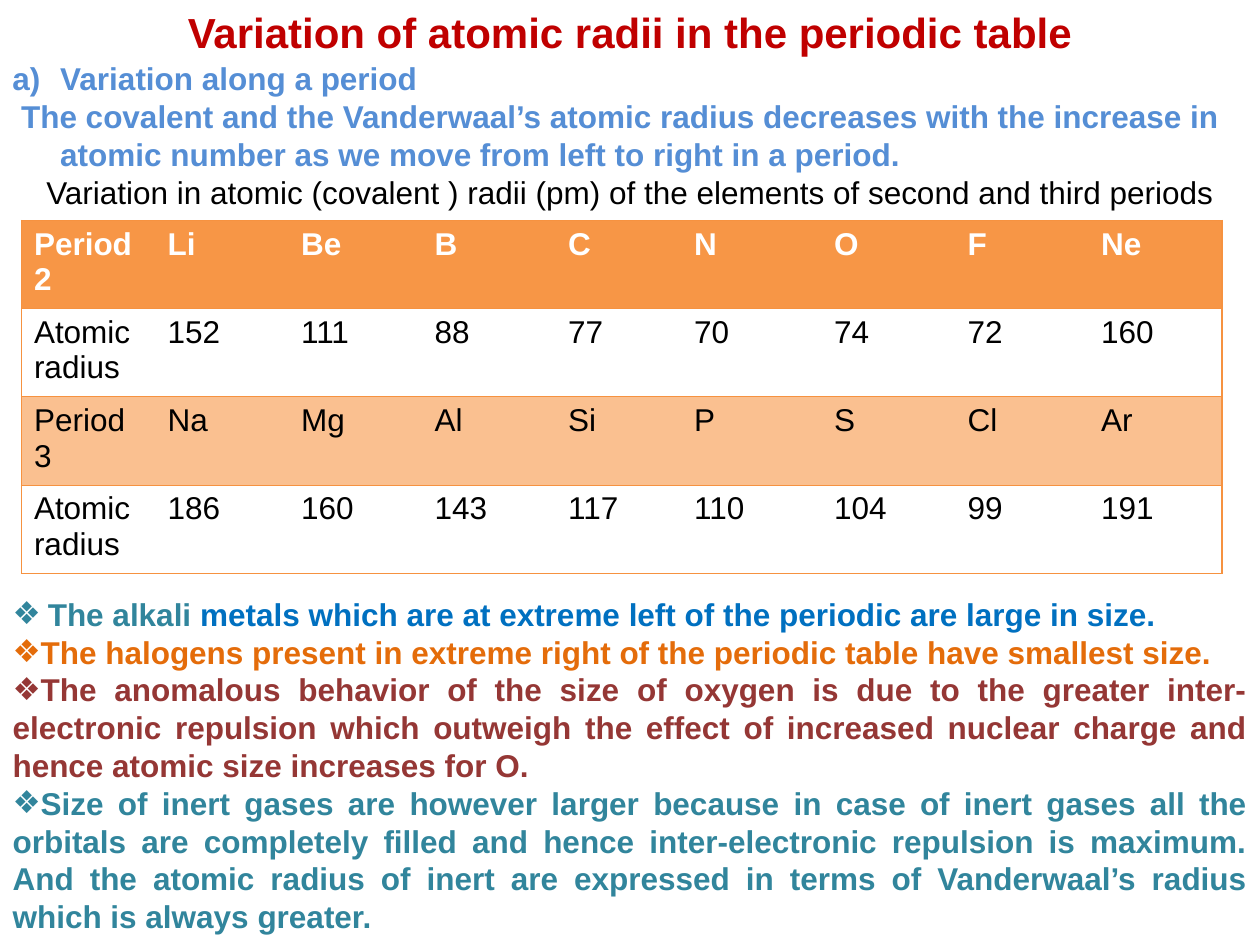
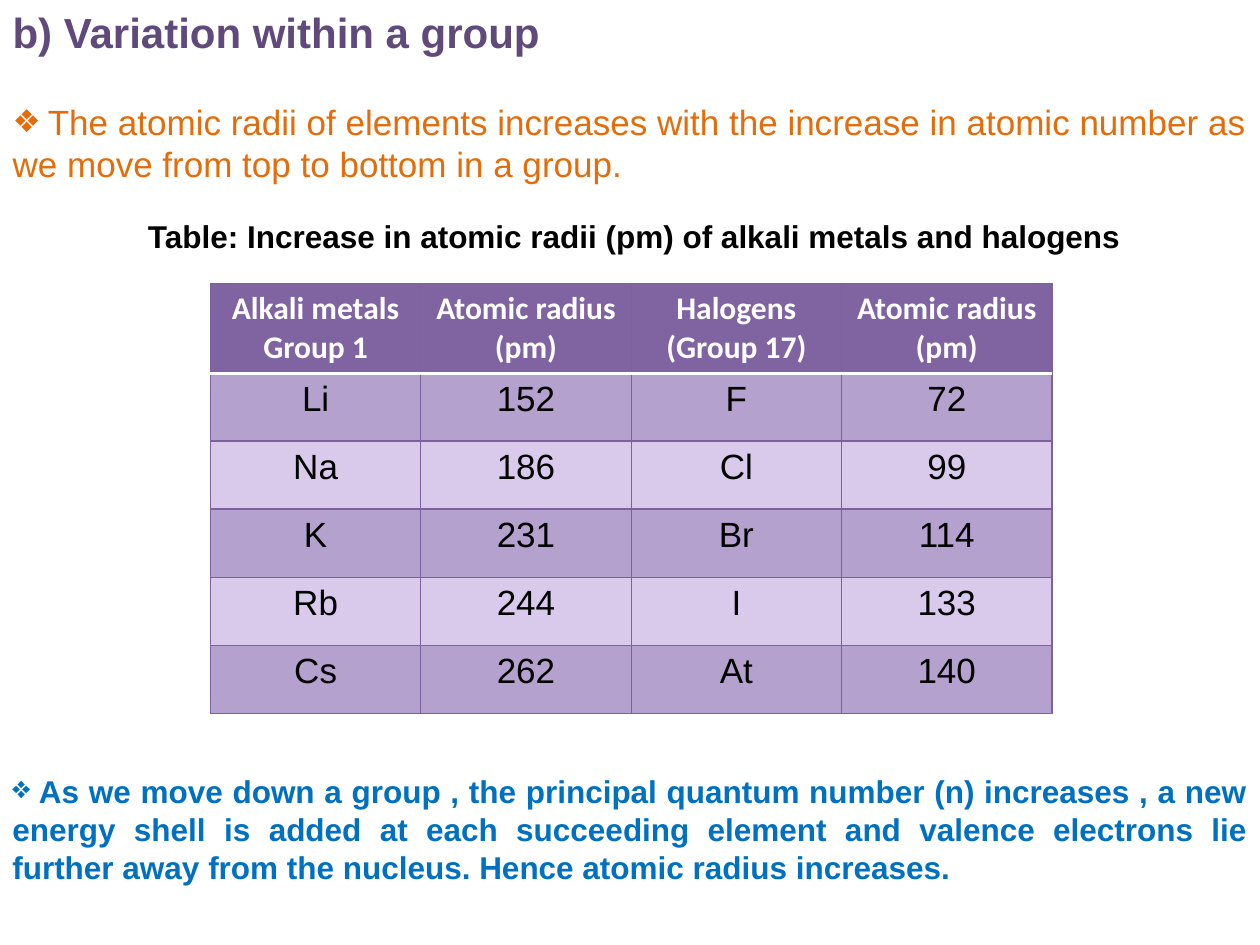
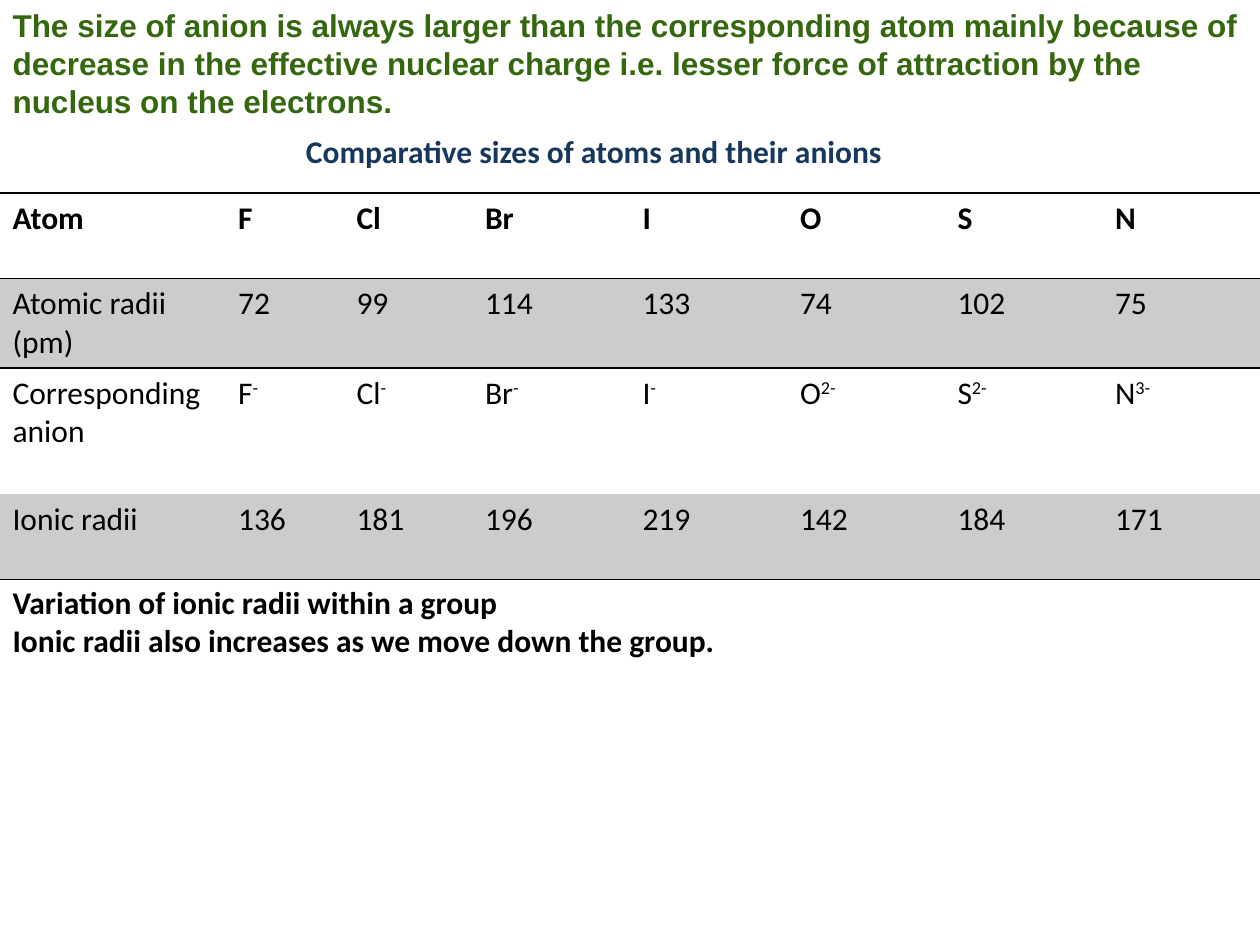
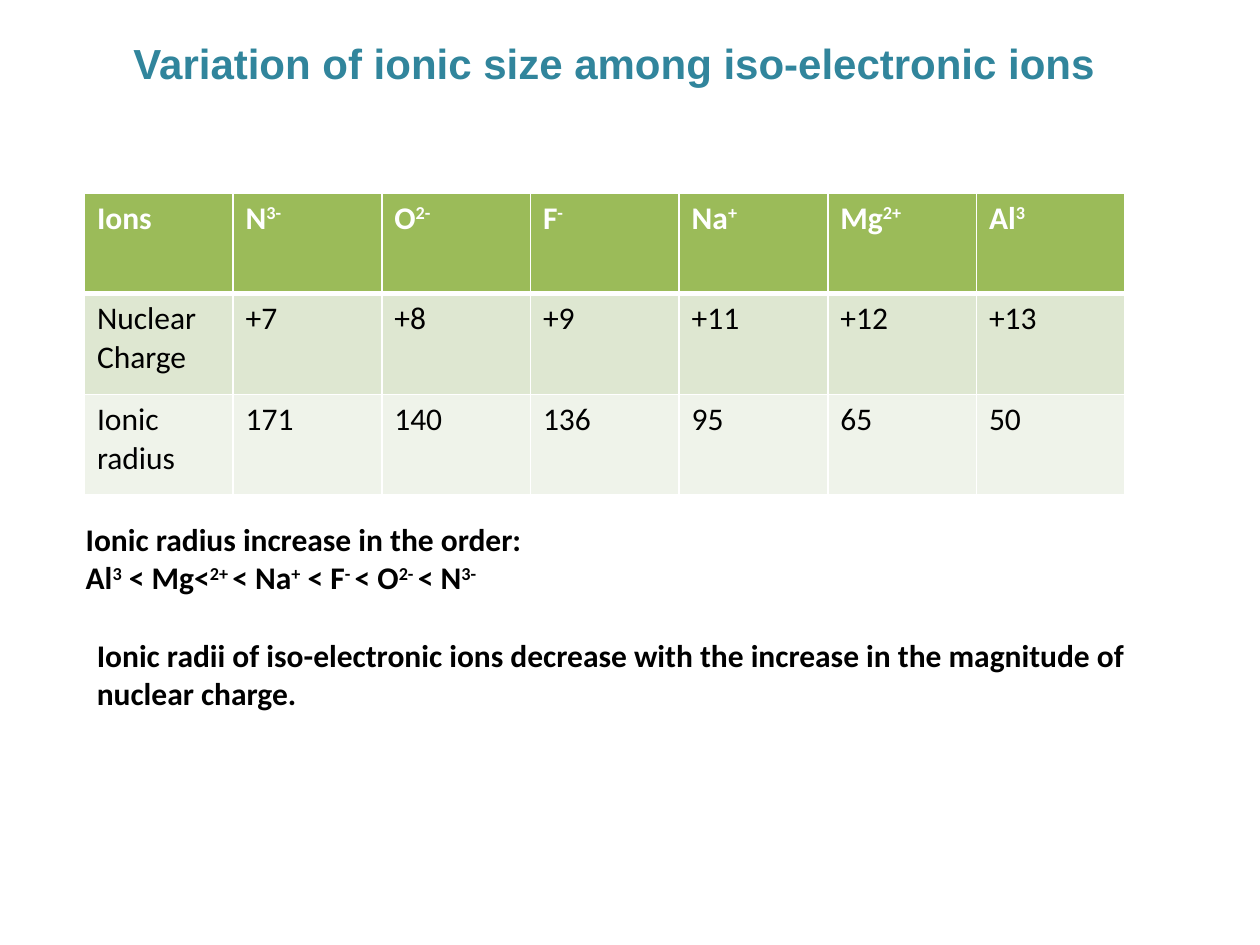
from dataclasses import dataclass

from lxml import etree
from pptx import Presentation
from pptx.dml.color import RGBColor
from pptx.enum.text import MSO_ANCHOR, MSO_AUTO_SIZE, PP_ALIGN
from pptx.oxml.ns import qn
from pptx.util import Inches, Pt

LEFT, CENTER, JUSTIFY = PP_ALIGN.LEFT, PP_ALIGN.CENTER, PP_ALIGN.JUSTIFY
TOP = MSO_ANCHOR.TOP
FIXED_SIZE = MSO_AUTO_SIZE.NONE
TITLE_AND_CONTENT = 1
PLAIN_TABLE_STYLE = "{2D5ABB26-0587-4C30-8999-92F81FD0307C}"
DIAMOND = "\u2756"
NUMBERED = "a)"
HANGING = 0.38

COLORS = {
    "black": "000000", "white": "FFFFFF", "red": "C00000",
    "sky": "558ED5", "blue": "0070C0", "navy": "17375E",
    "teal": "31859C", "rust": "E46C0A", "maroon": "953735",
    "plum": "604A7B", "forest": "35670F", "gray": "CCCCCC",
    "orange": "F79646", "orange_line": "F69240", "peach": "FAC090",
    "purple": "8064A2", "purple_line": "7D60A0",
    "purple_mid": "B5A1CE", "purple_pale": "D9CAEC",
    "green": "9BBB59", "green_mid": "DEE7D1", "green_pale": "EFF3EA",
}


@dataclass(frozen=True)
class Span:
    text: str
    color: str = "black"
    bold: bool = True
    font: str = "Arial"
    size: float = 18


@dataclass(frozen=True)
class Para:
    spans: tuple[Span, ...]
    align: PP_ALIGN = LEFT
    bullet: str = ""
    hanging: float = 0


@dataclass(frozen=True)
class Area:
    left: float
    top: float
    width: float
    height: float


@dataclass(frozen=True)
class Rule:
    color: str
    width: float


@dataclass(frozen=True)
class TableLook:
    header_text: Span
    body_text: Span
    header_fill: str | None
    band_fills: tuple[str | None, str | None]
    align: PP_ALIGN = LEFT
    frame: Rule | None = None
    side: Rule | None = None
    header_rule: Rule | None = None
    row_rule: Rule | None = None
    column_rule: Rule | None = None


def paint(fill, color: str) -> None:
    fill.solid()
    fill.fore_color.rgb = RGBColor.from_string(COLORS[color])


def write_span(para, span: Span) -> None:
    for index, piece in enumerate(span.text.split("^")):
        if not piece:
            continue
        run = para.add_run()
        run.text = piece
        run.font.name = span.font
        run.font.size = Pt(span.size)
        run.font.bold = span.bold
        run.font.color.rgb = RGBColor.from_string(COLORS[span.color])
        if index % 2:
            run.font._element.set("baseline", "30000")


def set_bullet(para, bullet: str, hanging: float) -> None:
    properties = para._p.get_or_add_pPr()
    properties.set("marL", str(Inches(hanging)))
    properties.set("indent", str(-Inches(hanging)))
    if bullet == NUMBERED:
        etree.SubElement(properties, qn("a:buAutoNum"), type="alphaLcParenR")
    elif bullet:
        etree.SubElement(properties, qn("a:buChar"), char=bullet)
    else:
        etree.SubElement(properties, qn("a:buNone"))


def write_paras(frame, paras: list[Para]) -> None:
    for index, content in enumerate(paras):
        para = frame.add_paragraph() if index else frame.paragraphs[0]
        para.alignment = content.align
        para.space_before = para.space_after = Pt(0)
        set_bullet(para, content.bullet, content.hanging)
        for span in content.spans:
            write_span(para, span)


def fill_box(box, area: Area, paras: list[Para]) -> None:
    box.left, box.top = Inches(area.left), Inches(area.top)
    box.width, box.height = Inches(area.width), Inches(area.height)
    frame = box.text_frame
    frame.word_wrap = True
    frame.auto_size = FIXED_SIZE
    frame.vertical_anchor = TOP
    write_paras(frame, paras)


def add_page(deck, title_area: Area, title: Para, body_area: Area, body: list[Para]):
    page = deck.slides.add_slide(deck.slide_layouts[TITLE_AND_CONTENT])
    fill_box(page.shapes.title, title_area, [title])
    fill_box(page.placeholders[1], body_area, body)
    return page


def add_text(page, area: Area, paras: list[Para]) -> None:
    fill_box(page.shapes.add_textbox(0, 0, 0, 0), area, paras)


def draw_edge(cell, tag: str, rule: Rule | None) -> None:
    if rule is None:
        return
    line = etree.SubElement(cell._tc.get_or_add_tcPr(), qn(tag), w=str(Pt(rule.width)))
    fill = etree.SubElement(line, qn("a:solidFill"))
    etree.SubElement(fill, qn("a:srgbClr"), val=COLORS[rule.color])


def add_grid(page, left: float, top: float, widths: list[float], heights: list[float],
             rows: list[list[str]], look: TableLook) -> None:
    table = page.shapes.add_table(
        len(rows), len(widths), Inches(left), Inches(top),
        Inches(sum(widths)), Inches(sum(heights))).table
    table.first_row = table.horz_banding = False
    table._tbl.tblPr.find(qn("a:tableStyleId")).text = PLAIN_TABLE_STYLE
    for column, width in zip(table.columns, widths):
        column.width = Inches(width)
    for row, height in zip(table.rows, heights):
        row.height = Inches(height)

    inner_rules = [look.header_rule] + [look.row_rule] * (len(rows) - 2)
    row_edges = [look.frame, *inner_rules, look.frame]
    column_edges = [look.side, *[look.column_rule] * (len(widths) - 1), look.side]
    for r, values in enumerate(rows):
        text = look.body_text if r else look.header_text
        color = look.band_fills[(r - 1) % 2] if r else look.header_fill
        for c, value in enumerate(values):
            cell = table.cell(r, c)
            draw_edge(cell, "a:lnL", column_edges[c])
            draw_edge(cell, "a:lnR", column_edges[c + 1])
            draw_edge(cell, "a:lnT", row_edges[r])
            draw_edge(cell, "a:lnB", row_edges[r + 1])
            if color:
                paint(cell.fill, color)
            else:
                cell.fill.background()
            write_paras(cell.text_frame, [
                Para((Span(line, text.color, text.bold, text.font, text.size),), look.align)
                for line in value.split("\n")])


def heading(text: str, color: str, align: PP_ALIGN = LEFT, size: float = 24) -> Para:
    return Para((Span(text, color, size=size),), align)


def point(*spans: Span, align: PP_ALIGN = JUSTIFY) -> Para:
    return Para(spans, align, DIAMOND)


def note(text: str, color: str = "black") -> Para:
    return Para((Span(text, color, font="Calibri"),))


def build_period_page(deck) -> None:
    page = add_page(
        deck, Area(0, 0, 10, 0.5),
        heading("Variation of atomic radii in the periodic table", "red", CENTER),
        Area(0, 4.67, 10, 2.83), [
            point(Span(" ", "teal", False, "Calibri"), Span("The alkali ", "teal"),
                  Span("metals which are at extreme left of the periodic are large in size.",
                       "blue")),
            point(Span("The halogens present in extreme right of the periodic table have "
                       "smallest size.", "rust")),
            point(Span("The anomalous behavior of the size of oxygen is due to the greater "
                       "inter-electronic repulsion which outweigh the effect of increased "
                       "nuclear charge and hence atomic size increases for O.", "maroon")),
            point(Span("Size of inert gases are however larger because in case of inert "
                       "gases all the orbitals are completely filled and hence "
                       "inter-electronic repulsion is maximum. And the atomic radius of "
                       "inert are expressed in terms of Vanderwaal\u2019s radius which is "
                       "always greater.", "teal")),
        ])
    add_text(page, Area(0, 0.42, 10, 1.62), [
        Para((Span("Variation along a period", "sky"),), LEFT, NUMBERED, HANGING),
        Para((Span(" The covalent and the Vanderwaal\u2019s atomic radius decreases with the "
                   "increase in atomic number as we move from left to right in a period.",
                   "sky"),), hanging=HANGING),
        Para((Span("Variation in atomic (covalent ) radii (pm) of the elements of second "
                   "and third periods", bold=False),), CENTER, hanging=HANGING),
    ])
    edge = Rule("orange_line", 0.75)
    look = TableLook(Span("", "white"), Span("", bold=False), "orange", (None, "peach"),
                     frame=edge, side=edge, header_rule=edge, row_rule=edge)
    add_grid(page, 0.17, 1.75, [1.06] * 4 + [1, 1.11] + [1.06] * 3, [0.7] * 4, [
        ["Period 2", "Li", "Be", "B", "C", "N", "O", "F", "Ne"],
        ["Atomic radius", "152", "111", "88", "77", "70", "74", "72", "160"],
        ["Period 3", "Na", "Mg", "Al", "Si", "P", "S", "Cl", "Ar"],
        ["Atomic radius", "186", "160", "143", "117", "110", "104", "99", "191"],
    ], look)


def build_group_page(deck) -> None:
    page = add_page(
        deck, Area(0, 0, 9.5, 0.5), heading("b) Variation within a group", "plum"),
        Area(0, 0.75, 10, 0.77), [
            point(Span(" ", "rust", False, "Calibri"),
                  Span("The atomic radii of elements increases with the increase in atomic "
                       "number as we move from top to bottom in a group.", "rust", False,
                       size=20), align=LEFT),
        ])
    add_text(page, Area(0, 1.67, 10, 0.4), [
        Para((Span(" Table: Increase in atomic radii (pm) of alkali metals and halogens"),),
             CENTER)])
    edge = Rule("purple_line", 0.75)
    look = TableLook(Span("", "white", font="Calibri"), Span("", bold=False, size=20),
                     "purple", ("purple_mid", "purple_pale"), CENTER, edge, edge,
                     Rule("white", 2), edge, edge)
    add_grid(page, 1.67, 2.25, [1.67] * 4, [0.7] + [0.54] * 5, [
        ["Alkali metals\nGroup 1", "Atomic radius\n(pm)",
         "Halogens\n(Group 17)", "Atomic radius\n(pm)"],
        ["Li", "152", "F", "72"],
        ["Na", "186", "Cl", "99"],
        ["K", "231", "Br", "114"],
        ["Rb", "244", "I", "133"],
        ["Cs", "262", "At", "140"],
    ], look)
    add_text(page, Area(0, 6.08, 10, 1.01), [
        point(Span(" As we move down a group , the principal quantum number (n) increases , "
                   "a new energy shell is added at each succeeding element and valence "
                   "electrons lie further away from the nucleus. Hence atomic radius "
                   "increases.", "blue"))])


def build_anion_page(deck) -> None:
    page = add_page(
        deck, Area(0, 0, 10, 1.01),
        heading("The size of anion is always larger than the corresponding atom mainly "
                "because of decrease in the effective nuclear charge i.e. lesser force of "
                "attraction by the nucleus on the electrons.", "forest", size=18),
        Area(0, 4.58, 10, 0.71), [
            note("Variation of ionic radii within a group"),
            note("Ionic radii also increases as we move down the group."),
        ])
    edge = Rule("black", 1)
    look = TableLook(Span("", font="Calibri"), Span("", bold=False, font="Calibri"),
                     None, ("gray", None), frame=edge, header_rule=edge)
    add_grid(page, 0, 1.53, [1.79, 0.94, 1.02] + [1.25] * 5, [0.68, 0.7, 1, 0.68], [
        ["Atom", "F", "Cl", "Br", "I", "O", "S", "N"],
        ["Atomic radii (pm)", "72", "99", "114", "133", "74", "102", "75"],
        ["Corresponding anion", "F^-", "Cl^-", "Br^-", "I^-", "O^2-", "S^2-", "N^3-"],
        ["Ionic radii", "136", "181", "196", "219", "142", "184", "171"],
    ], look)
    add_text(page, Area(2.33, 1, 5.58, 0.4), [
        note("Comparative sizes of atoms and their anions", "navy")])


def build_ion_page(deck) -> None:
    page = add_page(
        deck, Area(0.25, 0.25, 9.25, 0.5),
        heading("Variation of ionic size among iso-electronic ions", "teal", CENTER),
        Area(0.58, 4.08, 8.33, 0.71), [
            note("Ionic radius increase in the order:"),
            note("Al^3^ < Mg<^2+ ^< Na^+^ < F^- ^< O^2- ^< N^3-"),
        ])
    edge = Rule("white", 1)
    look = TableLook(Span("", "white", font="Calibri"),
                     Span("", bold=False, font="Calibri"), "green",
                     ("green_mid", "green_pale"), LEFT, edge, edge,
                     Rule("white", 3), edge, edge)
    add_grid(page, 0.67, 1.53, [1.18] * 7, [0.8] * 3, [
        ["Ions", "N^3-", "O^2-", "F^-", "Na^+", "Mg^2+", "Al^3"],
        ["Nuclear Charge", "+7", "+8", "+9", "+11", "+12", "+13"],
        ["Ionic radius", "171", "140", "136", "95", "65", "50"],
    ], look)
    add_text(page, Area(0.67, 5, 8.75, 0.71), [
        note("Ionic radii of iso-electronic ions decrease with the increase in the "
             "magnitude of nuclear charge.")])


deck = Presentation()
deck.slide_width, deck.slide_height = Inches(10), Inches(7.5)
for build_page in (build_period_page, build_group_page, build_anion_page, build_ion_page):
    build_page(deck)
deck.save("out.pptx")
